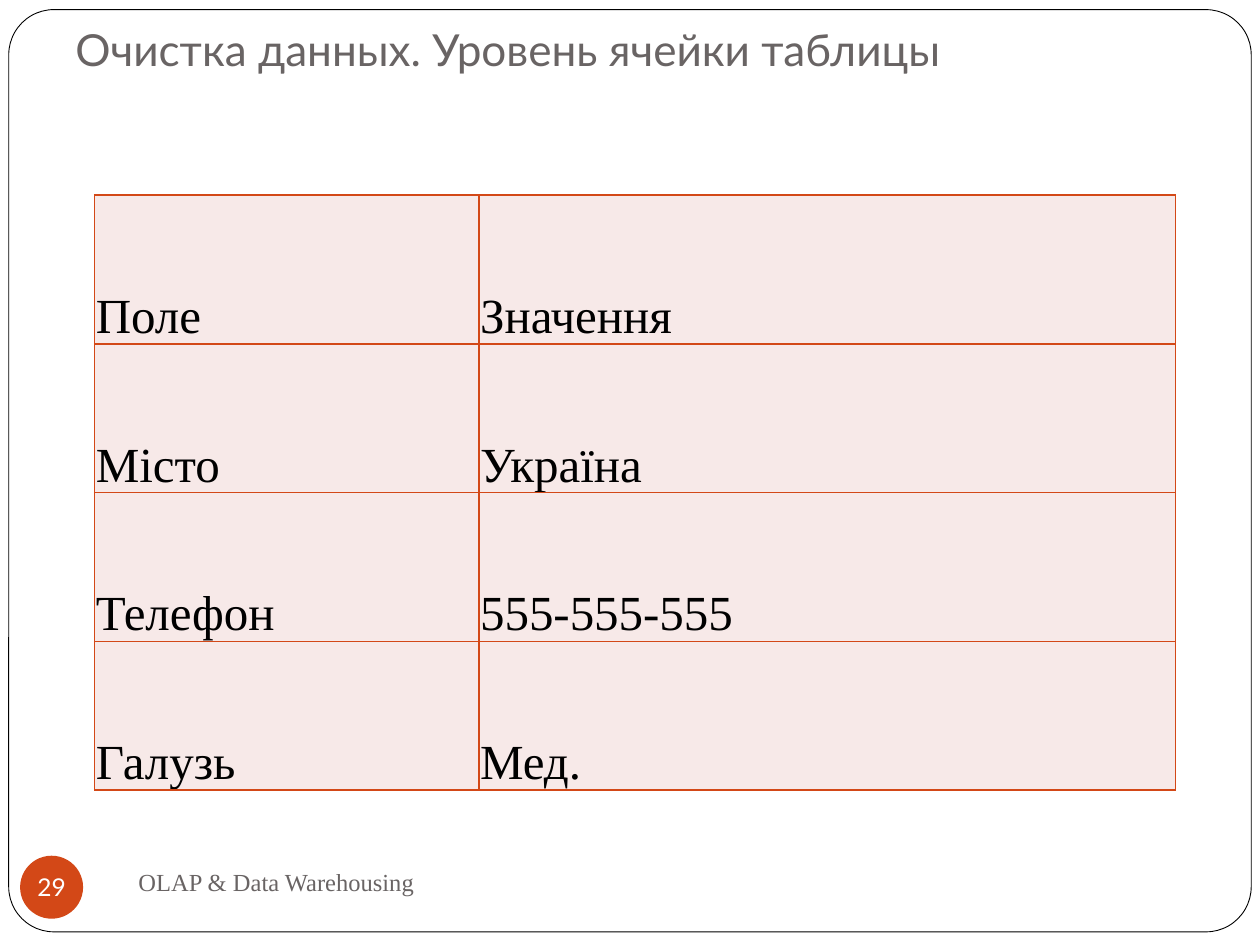
import lxml.etree
import pptx
import pptx.dml.color
import pptx.enum.shapes
import pptx.enum.text
import pptx.oxml.ns
import pptx.util

Pt = pptx.util.Pt
Shape = pptx.enum.shapes.MSO_SHAPE
Anchor = pptx.enum.text.MSO_ANCHOR
Align = pptx.enum.text.PP_ALIGN
qn = pptx.oxml.ns.qn

COLORS = {
    "paper": "FFFFFF",
    "ink": "000000",
    "gray": "696464",
    "accent": "D34817",
    "cell": "F7E9E8",
}
HEADING_FONT = "Lato"
BODY_FONT = "Times New Roman"
ROWS = [
    ("Поле", "Значення"),
    ("Місто", "Україна"),
    ("Телефон", "555-555-555"),
    ("Галузь", "Мед."),
]


def color(name):
    return pptx.dml.color.RGBColor.from_string(COLORS[name])


def write_text(frame, text, size, font=BODY_FONT, ink="ink", align=Align.LEFT):
    paragraph = frame.paragraphs[0]
    paragraph.alignment = align
    run = paragraph.add_run()
    run.text = text
    run.font.size = Pt(size)
    run.font.name = font
    run.font.color.rgb = color(ink)


def set_margins(target, left, top, right, bottom):
    """Set the inner margins, in points, of a text frame or a table cell."""
    target.margin_left, target.margin_top = Pt(left), Pt(top)
    target.margin_right, target.margin_bottom = Pt(right), Pt(bottom)


def add_borders(cell, name, width):
    properties = cell._tc.get_or_add_tcPr()
    for index, side in enumerate(("lnL", "lnR", "lnT", "lnB")):
        line = lxml.etree.Element(qn(f"a:{side}"), w=str(Pt(width)))
        fill = lxml.etree.SubElement(line, qn("a:solidFill"))
        lxml.etree.SubElement(fill, qn("a:srgbClr"), val=COLORS[name])
        properties.insert(index, line)


class SlideBuilder:
    """Holds the current slide and draws styled elements in points."""

    def __init__(self, slide):
        self.slide = slide

    def shape(self, kind, left, top, width, height, fill, line=None, line_width=0.5):
        shape = self.slide.shapes.add_shape(kind, Pt(left), Pt(top), Pt(width), Pt(height))
        shape.shadow.inherit = False
        shape.fill.solid()
        shape.fill.fore_color.rgb = color(fill)
        if line:
            shape.line.color.rgb = color(line)
            shape.line.width = Pt(line_width)
        else:
            shape.line.fill.background()
        return shape

    def text(self, text, left, top, width, height, anchor, margins=(7.2, 3.6, 7.2, 3.6), **style):
        box = self.slide.shapes.add_textbox(Pt(left), Pt(top), Pt(width), Pt(height))
        frame = box.text_frame
        frame.word_wrap = True
        frame.vertical_anchor = anchor
        set_margins(frame, *margins)
        write_text(frame, text, **style)

    def badge(self, text, left, top, diameter):
        shape = self.shape(Shape.OVAL, left, top, diameter, diameter, "accent")
        frame = shape.text_frame
        frame.word_wrap = False
        frame.vertical_anchor = Anchor.MIDDLE
        set_margins(frame, 0, 0, 0, 0)
        write_text(frame, text, 14, HEADING_FONT, "paper", Align.CENTER)

    def table(self, rows, left, top, column_widths, row_height):
        table = self.slide.shapes.add_table(
            len(rows), len(column_widths), Pt(left), Pt(top),
            Pt(sum(column_widths)), Pt(row_height * len(rows)),
        ).table
        for column, width in zip(table.columns, column_widths):
            column.width = Pt(width)
        for row, values in zip(table.rows, rows):
            row.height = Pt(row_height)
            for cell, value in zip(row.cells, values):
                cell.fill.solid()
                cell.fill.fore_color.rgb = color("cell")
                cell.vertical_anchor = Anchor.BOTTOM
                set_margins(cell, 0.75, 0.75, 0.75, 0)
                add_borders(cell, "accent", 1)
                write_text(cell.text_frame, value, 28)


def main():
    presentation = pptx.Presentation()
    presentation.slide_width, presentation.slide_height = Pt(720), Pt(540)
    builder = SlideBuilder(presentation.slides.add_slide(presentation.slide_layouts[6]))

    frame = builder.shape(Shape.ROUNDED_RECTANGLE, 5, 5.5, 710, 527, "paper", line="ink")
    frame.adjustments[0] = 0.049
    builder.text("Очистка данных. Уровень ячейки таблицы", 36, 12, 648, 38.5, Anchor.BOTTOM,
                 margins=(7.2, 3.6, 7.2, 7.2), size=25.2, font=HEADING_FONT, ink="gray")
    builder.badge("29", 11.5, 489, 36)
    builder.text("OLAP & Data Warehousing", 72, 486, 312, 36, Anchor.MIDDLE,
                 size=14, ink="gray")
    builder.table(ROWS, 54, 111.5, (219.6, 398.2), 85)
    presentation.save("out.pptx")


if __name__ == "__main__":
    main()
